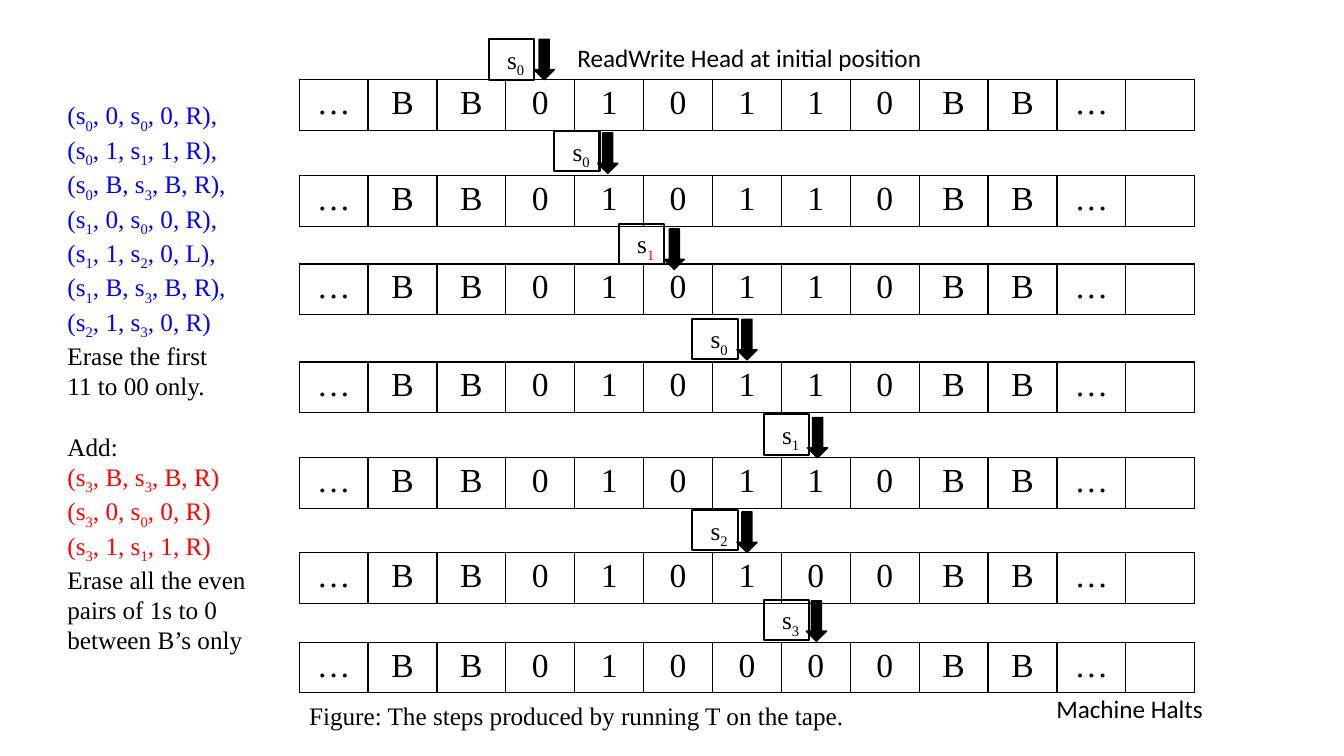
"""Build the slide that traces a Turing machine over its tape."""
from lxml.etree import SubElement
from pptx import Presentation
from pptx.dml.color import RGBColor
from pptx.enum.shapes import MSO_SHAPE
from pptx.enum.text import MSO_ANCHOR, PP_ALIGN
from pptx.oxml.ns import qn
from pptx.util import Cm, Pt

BLACK = RGBColor(0, 0, 0)
WHITE = RGBColor(255, 255, 255)
BLUE = RGBColor(0, 0, 255)
RED = RGBColor(255, 0, 0)
SERIF, SANS = "Times New Roman", "Calibri"

TAPE_LEFT, TAPE_WIDTH, TAPE_HEIGHT = 7.54, 22.58, 1.28
HEAD_WIDTH, HEAD_HEIGHT, ARROW_WIDTH = 1.14, 1.02, 0.51

# Each step: tape digits, tape top, state, state box corner, arrow corner.
STEPS = [
    ("010110", 2.01, "s_0", (12.32, 0.99), (13.46, 0.99)),
    ("010110", 4.42, "s_0", (13.97, 3.30), (15.06, 3.35)),
    ("010110", 6.65, "s_1", (15.60, 5.64), (16.74, 5.77)),
    ("010110", 9.12, "s_0", (17.45, 8.03), (18.57, 8.05)),
    ("010110", 11.53, "s_1", (19.25, 10.44), (20.35, 10.52)),
    ("010100", 13.92, "s_2", (17.45, 12.85), (18.57, 12.90)),
    ("010000", 16.18, "s_3", (19.25, 15.11), (20.32, 15.14)),
]
RED_STATE_STEP = 2

RULES = [
    (BLUE, ["(s_0, 0, s_0, 0, R),", "(s_0, 1, s_1, 1, R),", "(s_0, B, s_3, B, R),",
            "(s_1, 0, s_0, 0, R),", "(s_1, 1, s_2, 0, L),", "(s_1, B, s_3, B, R),",
            "(s_2, 1, s_3, 0, R)"]),
    (BLACK, ["Erase the first", "11 to 00 only.", "Add:"]),
    (RED, ["(s_3, B, s_3, B, R)", "(s_3, 0, s_0, 0, R)", "(s_3, 1, s_1, 1, R)"]),
    (BLACK, ["Erase all the even pairs of 1s to 0 between B’s only"]),
]


def add_run(paragraph, text, color, name=SERIF, size=18, subscript=False):
    """Append one formatted run to the paragraph."""
    run = paragraph.add_run()
    run.text = text
    for attribute, value in {"name": name, "size": Pt(size)}.items():
        setattr(run.font, attribute, value)
    run.font.color.rgb = color
    if subscript:
        run.font._element.set("baseline", "-25000")


def write_indexed(paragraph, text, color, index_color=None):
    """Write text in which an underscore lowers the next character."""
    first, *others = text.split("_")
    add_run(paragraph, first, color)
    for piece in others:
        add_run(paragraph, piece[0], index_color or color, subscript=True)
        if piece[1:]:
            add_run(paragraph, piece[1:], color)


def set_borders(cell):
    """Draw a black one-point line on each side of the cell."""
    properties = cell._tc.get_or_add_tcPr()
    for position, side in enumerate(("lnL", "lnR", "lnT", "lnB")):
        line = SubElement(properties, qn(f"a:{side}"), w=str(Pt(1)))
        fill = SubElement(line, qn("a:solidFill"))
        SubElement(fill, qn("a:srgbClr"), val=str(BLACK))
        properties.insert(position, line)


def add_tape(slide, box, digits):
    """Add one tape as a single-row table that fills the box."""
    symbols = ["…", "B", "B", *digits, "B", "B", "…", ""]
    left, top, width, height = map(Cm, box)
    table = slide.shapes.add_table(1, len(symbols), left, top, width, height).table
    for attribute in ("first_row", "horz_banding"):
        setattr(table, attribute, False)
    for column, cell, symbol in zip(table.columns, table.rows[0].cells, symbols):
        column.width = width // len(symbols)
        cell.fill.solid()
        cell.fill.fore_color.rgb = WHITE
        set_borders(cell)
        if symbol:
            paragraph = cell.text_frame.paragraphs[0]
            paragraph.alignment = PP_ALIGN.CENTER
            add_run(paragraph, symbol, BLACK, size=24)


def add_outlined(slide, kind, box, line_width):
    """Add a shadowless preset shape with a black outline."""
    shape = slide.shapes.add_shape(kind, *map(Cm, box))
    shape.shadow.inherit = False
    shape.line.color.rgb = BLACK
    shape.line.width = Pt(line_width)
    return shape


def add_head(slide, state, state_corner, arrow_corner, index_color):
    """Add the head arrow and the box that names its state."""
    arrow = add_outlined(slide, MSO_SHAPE.DOWN_ARROW,
                         (*arrow_corner, ARROW_WIDTH, HEAD_HEIGHT), 1)
    arrow.fill.solid()
    arrow.fill.fore_color.rgb = BLACK
    state_box = add_outlined(slide, MSO_SHAPE.RECTANGLE,
                             (*state_corner, HEAD_WIDTH, HEAD_HEIGHT), 1.5)
    state_box.fill.background()
    state_box.text_frame.vertical_anchor = MSO_ANCHOR.TOP
    paragraph = state_box.text_frame.paragraphs[0]
    paragraph.alignment = PP_ALIGN.RIGHT
    write_indexed(paragraph, state, BLACK, index_color)


def add_text_box(slide, box):
    """Add an empty wrapping text box and return its frame."""
    frame = slide.shapes.add_textbox(*map(Cm, box)).text_frame
    frame.word_wrap = True
    return frame


def add_label(slide, box, text, name):
    """Add a one-line label."""
    add_run(add_text_box(slide, box).paragraphs[0], text, BLACK, name)


def add_rules(slide, box):
    """Add the coloured list of transition rules."""
    frame = add_text_box(slide, box)
    frame.margin_left = Cm(0.89)
    lines = [(color, text) for color, texts in RULES for text in texts]
    for index, (color, text) in enumerate(lines):
        paragraph = frame.add_paragraph() if index else frame.paragraphs[0]
        write_indexed(paragraph, text, color)
        if text == "Add:":
            paragraph.space_before = Pt(21.5)


def build_trace_slide(presentation):
    """Add the slide with tapes, heads, labels and rules."""
    slide = presentation.slides.add_slide(presentation.slide_layouts[6])
    for digits, top, *_ in STEPS:
        add_tape(slide, (TAPE_LEFT, top, TAPE_WIDTH, TAPE_HEIGHT), digits)
    for index, (_, _, state, state_corner, arrow_corner) in enumerate(STEPS):
        index_color = RED if index == RED_STATE_STEP else BLACK
        add_head(slide, state, state_corner, arrow_corner, index_color)
    add_label(slide, (26.37, 17.35, 4.29, 1.02), "Machine Halts", SANS)
    add_label(slide, (14.3, 0.94, 9.7, 1.02), "ReadWrite Head at initial position", SANS)
    add_label(slide, (TAPE_LEFT, 17.53, 17.98, 1.02),
              "Figure: The steps produced by running T on the tape.", SERIF)
    add_rules(slide, (0.81, 2.39, 6.12, 13.34))


presentation = Presentation()
presentation.slide_width, presentation.slide_height = Cm(33.87), Cm(19.05)
build_trace_slide(presentation)
presentation.save("out.pptx")
